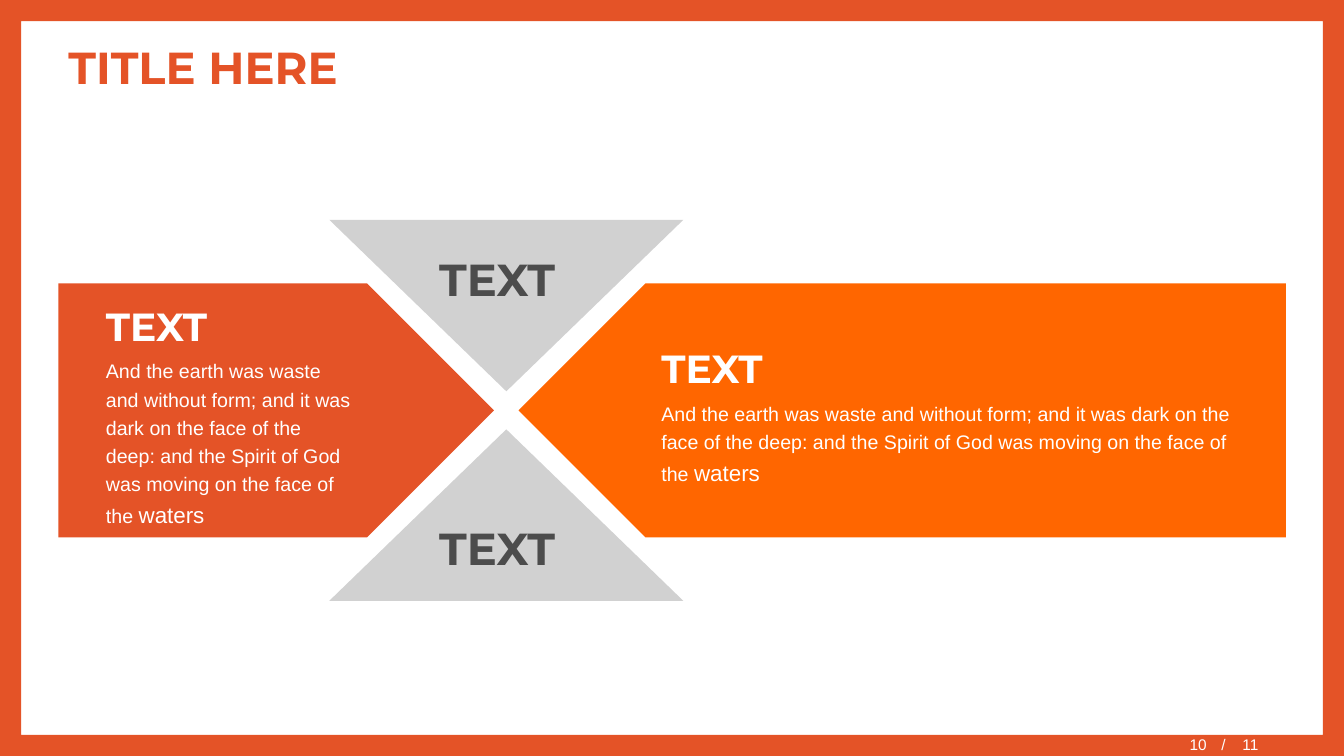
"""Build a slide of two facing arrow panels between two triangles."""
from dataclasses import dataclass

from pptx import Presentation
from pptx import util as u
from pptx.dml.color import RGBColor
from pptx.enum import shapes, text
from pptx.oxml import parse_xml
from pptx.oxml.ns import nsdecls

TITLE = "TITLE HERE"
HEAD = "TEXT"
BODY = ("And the earth was waste and without form; and it was dark on the face of the "
        "deep: and the Spirit of God was moving on the face of the ")
LAST = "waters"
PAGE, TOTAL = "10", "/\t11"


@dataclass(frozen=True)
class Theme:
    """Colours, fonts and type sizes."""
    red: str = "E45327"
    orange: str = "FF6600"
    grey: str = "D1D1D1"
    dark: str = "4C4C4C"
    white: str = "FFFFFF"
    bold: str = "Montserrat"
    plain: str = "Arial"
    big: int = 32
    head: int = 28
    body: int = 14
    last: int = 16
    foot: int = 11


T = Theme()
KIND = shapes.MSO_SHAPE
LEFT, RIGHT = text.PP_ALIGN.LEFT, text.PP_ALIGN.RIGHT
MID, TOP = text.MSO_ANCHOR.MIDDLE, text.MSO_ANCHOR.TOP
WIDE, HIGH = 33.87, 19.05
EDGE, SPAN = 1.47, 30.94
AXIS, CROSS = 10.34, 12.76
PLATE, TIP = 6.4, 0.31
TRI_W, TRI_H, GAP = 8.92, 4.32, 0.48
TAG_X, TAG_W, TAG_H = 10.82, 3.86, 1.9


def write(shape, paras, color=T.white, align=LEFT, anchor=MID, inset=None,
          wrap=True, line=None, gap=0):
    """Fill a shape with paragraphs of (text, size, font, bold) runs."""
    frame = shape.text_frame
    frame.word_wrap, frame.vertical_anchor = wrap, anchor
    if inset:
        (frame.margin_left, frame.margin_top,
         frame.margin_right, frame.margin_bottom) = map(u.Cm, inset)
    for i, runs in enumerate(paras):
        para = frame.add_paragraph() if i else frame.paragraphs[0]
        para.alignment, para.line_spacing = align, line
        para.space_before = para.space_after = u.Pt(gap)
        for words, size, face, bold in runs:
            run = para.add_run()
            run.text = words
            font = run.font
            font.size, font.name, font.bold = u.Pt(size), face, bold
            font.color.rgb = RGBColor.from_string(color)
    return frame


def draw(slide, kind, box, fill):
    """Add a flat preset shape without outline."""
    shape = slide.shapes.add_shape(kind, *map(u.Cm, box))
    shape.shadow.inherit = False
    shape.fill.solid()
    shape.fill.fore_color.rgb = RGBColor.from_string(fill)
    shape.line.fill.background()
    return shape


def label(slide, box, words, size, face, bold=False, **form):
    """Add a text box of one run."""
    area = slide.shapes.add_textbox(*map(u.Cm, box))
    return write(area, [[(words, size, face, bold)]], **form)


def main():
    """Draw the slide and save it."""
    deck = Presentation()
    deck.slide_width, deck.slide_height = u.Cm(WIDE), u.Cm(HIGH)
    slide = deck.slides.add_slide(deck.slide_layouts[5])

    border = draw(slide, KIND.FRAME, (0, 0, WIDE, HIGH), T.red)
    border.adjustments[0] = 0.028

    title = slide.shapes.title
    title.left, title.top, title.width, title.height = map(u.Cm, (EDGE, 0.71, SPAN, 1.96))
    write(title, [[(TITLE, T.big, T.bold, True)]], color=T.red)

    copy = [[(HEAD, T.head, T.bold, True)],
            [(BODY, T.body, T.plain, False), (LAST, T.last, T.plain, False)]]
    start = CROSS + TIP
    plates = [(EDGE, CROSS - TIP - EDGE, T.red, (1.2, 0.13, 2, 0.13), False),
              (start, EDGE + SPAN - start, T.orange, (2, 0.13, 1.2, 0.13), True)]
    for x, wide, fill, inset, flip in plates:
        plate = draw(slide, KIND.PENTAGON, (x, AXIS - PLATE / 2, wide, PLATE), fill)
        if flip:
            plate.element.spPr.xfrm.set("flipH", "1")
        write(plate, copy, inset=inset, line=1.2, gap=2)

    for y, turn, tag in [(AXIS - GAP - TRI_H, 180, 5.94), (AXIS + GAP, 0, 12.73)]:
        box = (CROSS - TRI_W / 2, y, TRI_W, TRI_H)
        draw(slide, KIND.ISOSCELES_TRIANGLE, box, T.grey).rotation = turn
        frame = label(slide, (TAG_X, tag, TAG_W, TAG_H), HEAD, T.big, T.bold, True,
                      color=T.dark, anchor=TOP, wrap=False, line=1.2, gap=2)
        frame.auto_size = text.MSO_AUTO_SIZE.SHAPE_TO_FIT_TEXT

    total = label(slide, (30.53, 18.54, 3.33, 0.46), TOTAL, T.foot, T.plain)
    stops = f'<a:tabLst {nsdecls("a")}><a:tab pos="{u.Cm(0.53)}" algn="l"/></a:tabLst>'
    total.paragraphs[0]._p.get_or_add_pPr().append(parse_xml(stops))
    label(slide, (24.08, 18.59, 6.58, 0.46), PAGE, T.foot, T.plain,
          align=RIGHT, inset=(0.25, 0, 0.25, 0.13))
    deck.save("out.pptx")


if __name__ == "__main__":
    main()
